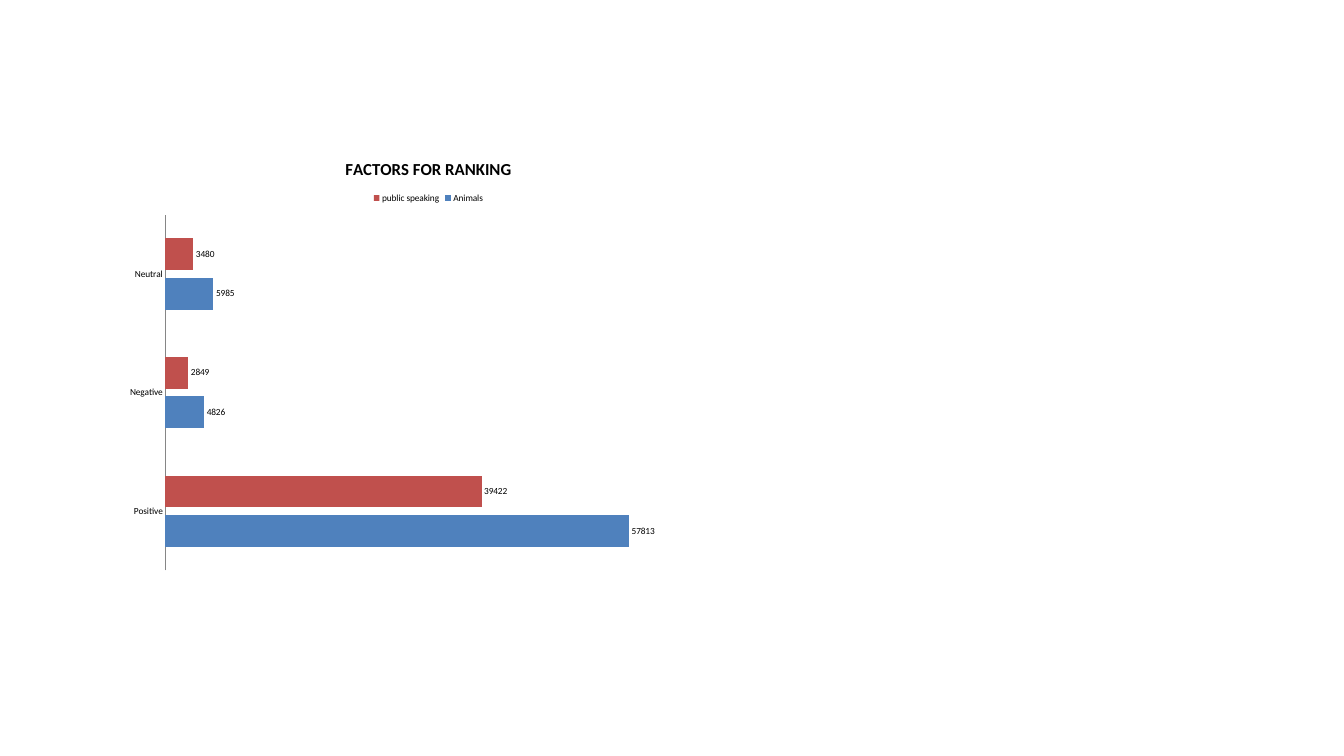
from pptx import Presentation
from pptx.chart.data import CategoryChartData
from pptx.dml.color import RGBColor
from pptx.enum.chart import XL_CHART_TYPE as CT, XL_LABEL_POSITION as LP
from pptx.enum.chart import XL_LEGEND_POSITION as LEG, XL_TICK_MARK as TM
from pptx.util import Inches, Pt

COLORS = {"text": "000000", "axis": "868686", "Animals": "4F81BD", "public speaking": "C0504D"}
CATEGORIES = ["Positive", "Negative", "Neutral"]
SERIES = {"Animals": [57813, 4826, 5985], "public speaking": [39422, 2849, 3480]}


def color(name):
    return RGBColor.from_string(COLORS[name])


def format_font(font, size=10, bold=False):
    font.name = "Calibri"
    font.size = Pt(size)
    font.bold = bold
    font.color.rgb = color("text")


def add_title(chart, text, size=18, bold=True):
    chart.has_title = True
    tf = chart.chart_title.text_frame
    r = tf.paragraphs[0].add_run()
    r.text = text
    format_font(r.font, size, bold)
    chart.chart_title.include_in_layout = False


def format_axes(chart):
    axis = chart.category_axis
    axis.major_tick_mark = axis.minor_tick_mark = TM.NONE
    axis.has_major_gridlines = False
    axis.format.line.color.rgb = color("axis")
    axis.format.line.width = Pt(0.75)
    chart.value_axis.has_major_gridlines = False
    chart.value_axis.visible = False


def format_bars(plot):
    plot.gap_width = 150
    plot.overlap = -25
    plot.vary_by_categories = False
    for series in plot.series:
        series.format.fill.solid()
        series.format.fill.fore_color.rgb = color(series.name)
        labels = series.data_labels
        labels.show_value = True
        labels.position = LP.OUTSIDE_END
        format_font(labels.font)


def add_bar_chart(s, left, top, width, height):
    data = CategoryChartData()
    data.categories = CATEGORIES
    for name, values in SERIES.items():
        data.add_series(name, values)
    chart = s.shapes.add_chart(CT.BAR_CLUSTERED, Inches(left), Inches(top),
                               Inches(width), Inches(height), data).chart
    format_font(chart.font)
    add_title(chart, "FACTORS FOR RANKING")
    chart.has_legend = True
    chart.legend.position = LEG.TOP
    chart.legend.include_in_layout = False
    format_axes(chart)
    format_bars(chart.plots[0])


def main():
    prs = Presentation()
    prs.slide_width, prs.slide_height = Inches(20), Inches(11.25)
    s = prs.slides.add_slide(prs.slide_layouts[6])
    add_bar_chart(s, 1.75, 2.12, 9.25, 6.5)
    prs.save("out.pptx")


if __name__ == "__main__":
    main()
